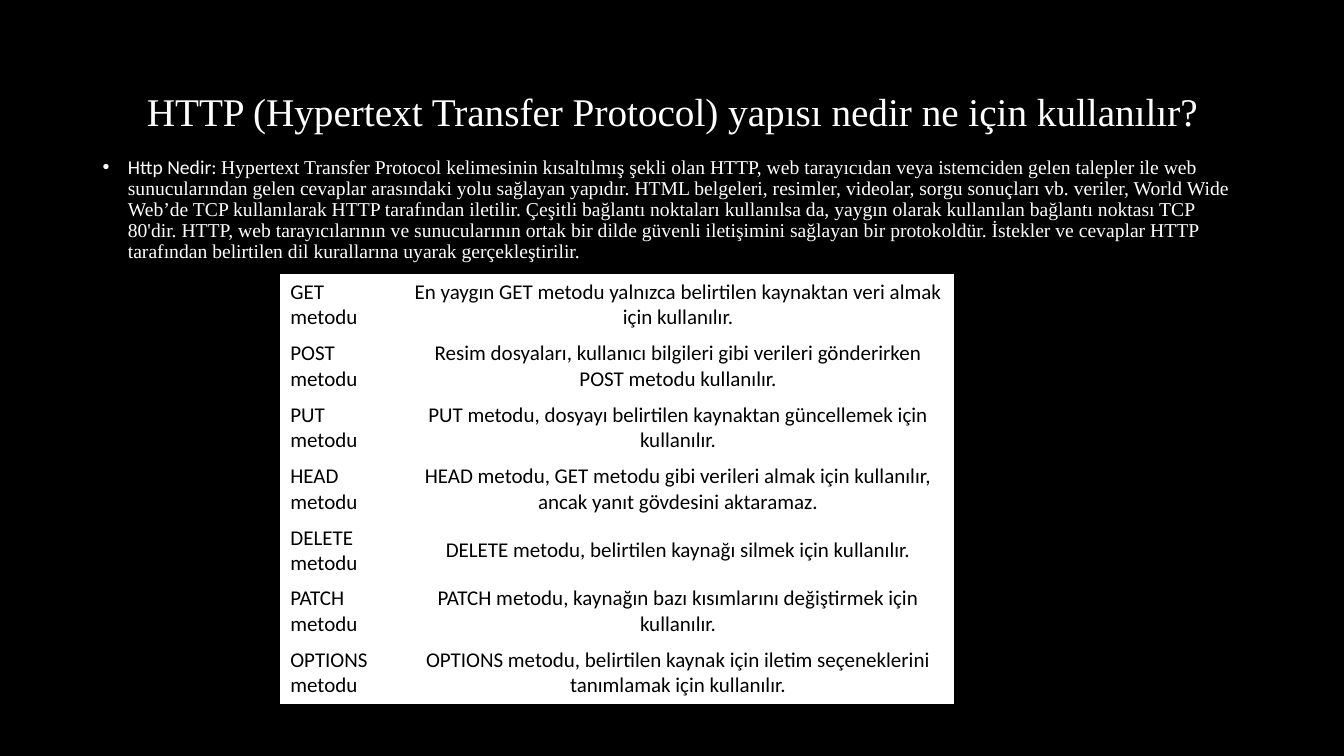
from lxml import etree
from pptx import Presentation
from pptx.dml.color import RGBColor
from pptx.enum.text import MSO_ANCHOR, PP_ALIGN
from pptx.oxml.ns import qn
from pptx.util import Inches, Pt

LEFT, CENTER = PP_ALIGN.LEFT, PP_ALIGN.CENTER
TOP, MIDDLE = MSO_ANCHOR.TOP, MSO_ANCHOR.MIDDLE
SERIF, SANS = "Times New Roman", "Calibri"
BLACK, WHITE = "000000", "FFFFFF"
NO_TABLE_STYLE = "{2D5ABB26-0587-4C30-8999-92F81FD0307C}"

TITLE = "HTTP (Hypertext Transfer Protocol) yapısı nedir ne için kullanılır?"
LEAD = "Http Nedir: "
BODY = (
    "Hypertext Transfer Protocol kelimesinin kısaltılmış şekli olan HTTP, web "
    "tarayıcıdan veya istemciden gelen talepler ile web sunucularından gelen "
    "cevaplar arasındaki yolu sağlayan yapıdır. HTML belgeleri, resimler, "
    "videolar, sorgu sonuçları vb. veriler, World Wide Web’de TCP kullanılarak "
    "HTTP tarafından iletilir. Çeşitli bağlantı noktaları kullanılsa da, yaygın "
    "olarak kullanılan bağlantı noktası TCP 80'dir. HTTP, web tarayıcılarının ve "
    "sunucularının ortak bir dilde güvenli iletişimini sağlayan bir protokoldür. "
    "İstekler ve cevaplar HTTP tarafından belirtilen dil kurallarına uyarak "
    "gerçekleştirilir."
)
METHODS = {
    "GET": "En yaygın GET metodu yalnızca belirtilen kaynaktan veri almak için kullanılır.",
    "POST": "Resim dosyaları, kullanıcı bilgileri gibi verileri gönderirken POST metodu kullanılır.",
    "PUT": "PUT metodu, dosyayı belirtilen kaynaktan güncellemek için kullanılır.",
    "HEAD": "HEAD metodu, GET metodu gibi verileri almak için kullanılır, ancak yanıt gövdesini aktaramaz.",
    "DELETE": "DELETE metodu, belirtilen kaynağı silmek için kullanılır.",
    "PATCH": "PATCH metodu, kaynağın bazı kısımlarını değiştirmek için kullanılır.",
    "OPTIONS": "OPTIONS metodu, belirtilen kaynak için iletim seçeneklerini tanımlamak için kullanılır.",
}


def rgb(value):
    """Turn a hex string into a colour."""
    return RGBColor.from_string(value)


def add_run(p, text, size=14, font=SANS, color=WHITE):
    """Append formatted text to a paragraph."""
    r = p.add_run()
    r.text = text
    r.font.size, r.font.name = Pt(size), font
    r.font.color.rgb = rgb(color)


def add_bullet(p, indent):
    """Give a paragraph a hanging bullet."""
    p_pr = p._p.get_or_add_pPr()
    p_pr.set("marL", str(indent))
    p_pr.set("indent", str(-indent))
    etree.SubElement(p_pr, qn("a:buFont")).set("typeface", "Arial")
    etree.SubElement(p_pr, qn("a:buChar")).set("char", "•")


class Deck:
    """Hold the current slide and its shared style."""

    def __init__(self, prs, background):
        """Add a blank slide with a plain background."""
        self.s = prs.slides.add_slide(prs.slide_layouts[6])
        fill = self.s.background.fill
        fill.solid()
        fill.fore_color.rgb = rgb(background)

    def text(self, left, top, width, height, anchor=TOP, align=LEFT):
        """Add a wrapping text box and return its first paragraph."""
        sp = self.s.shapes.add_textbox(*map(Inches, (left, top, width, height)))
        tf = sp.text_frame
        tf.word_wrap, tf.vertical_anchor = True, anchor
        p = tf.paragraphs[0]
        p.alignment, p.line_spacing = align, 0.9
        return p

    def table(self, left, top, widths, heights, rows, aligns):
        """Add a plain white table with one alignment per column."""
        box = map(Inches, (left, top, sum(widths), sum(heights)))
        table = self.s.shapes.add_table(len(rows), len(widths), *box).table
        table.first_row = table.horz_banding = False
        table._tbl.tblPr.find(qn("a:tableStyleId")).text = NO_TABLE_STYLE
        for column, width in zip(table.columns, widths):
            column.width = Inches(width)
        for row, height, texts in zip(table.rows, heights, rows):
            row.height = Inches(height)
            for cell, text, align in zip(row.cells, texts, aligns):
                cell.fill.solid()
                cell.fill.fore_color.rgb = rgb(WHITE)
                cell.vertical_anchor = MIDDLE
                p = cell.text_frame.paragraphs[0]
                p.alignment = align
                add_run(p, text, size=15, color=BLACK)


prs = Presentation()
prs.slide_width, prs.slide_height = Inches(13.33), Inches(7.5)
deck = Deck(prs, BLACK)

title = deck.text(0.92, 0.4, 11.5, 1.45, anchor=MIDDLE, align=CENTER)
add_run(title, TITLE, size=28, font=SERIF)

body = deck.text(0.92, 1.51, 11.5, 1.16)
body.space_before = Pt(10)
add_bullet(body, Inches(0.25))
add_run(body, LEAD)
add_run(body, BODY, font=SERIF)

rows = [(f"{name} metodu", use) for name, use in METHODS.items()]
heights = [0.35 if name == "DELETE" else 0.61 for name in METHODS]
deck.table(2.78, 2.72, (1.21, 5.47), heights, rows, (LEFT, CENTER))

prs.save("out.pptx")
